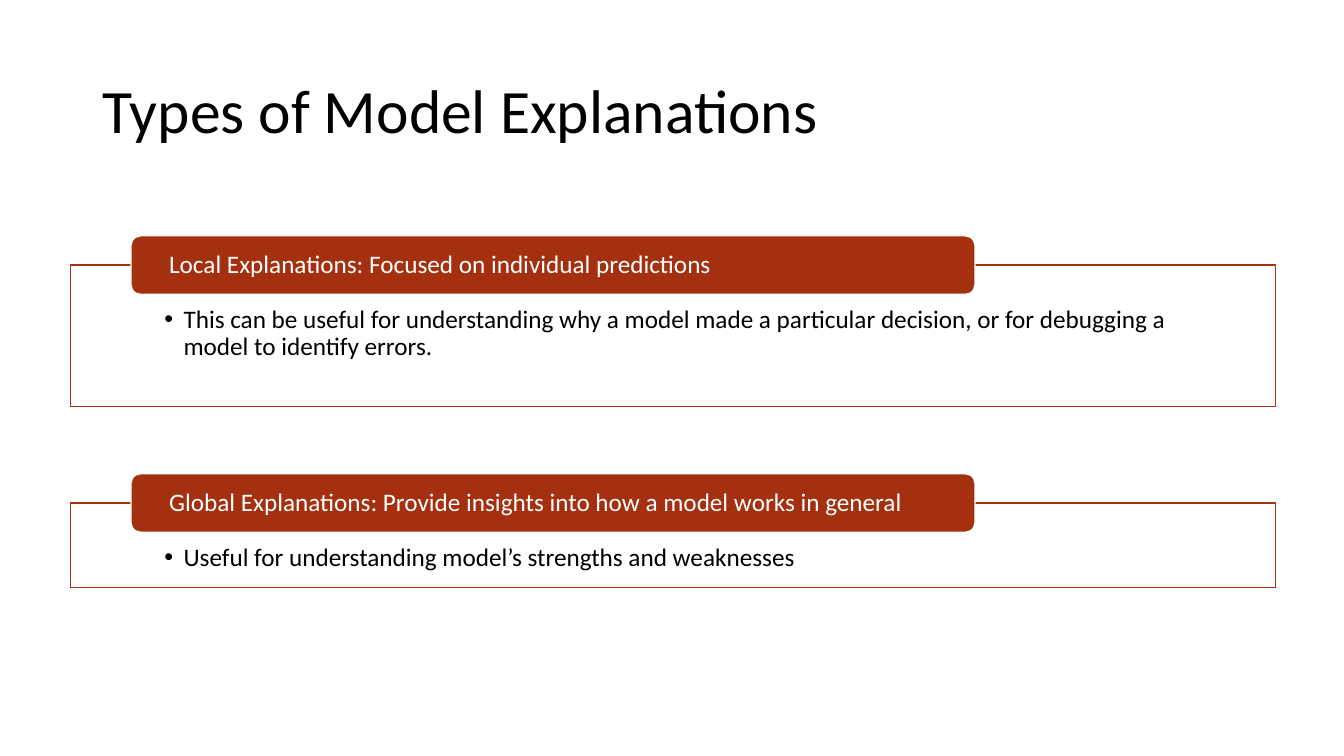
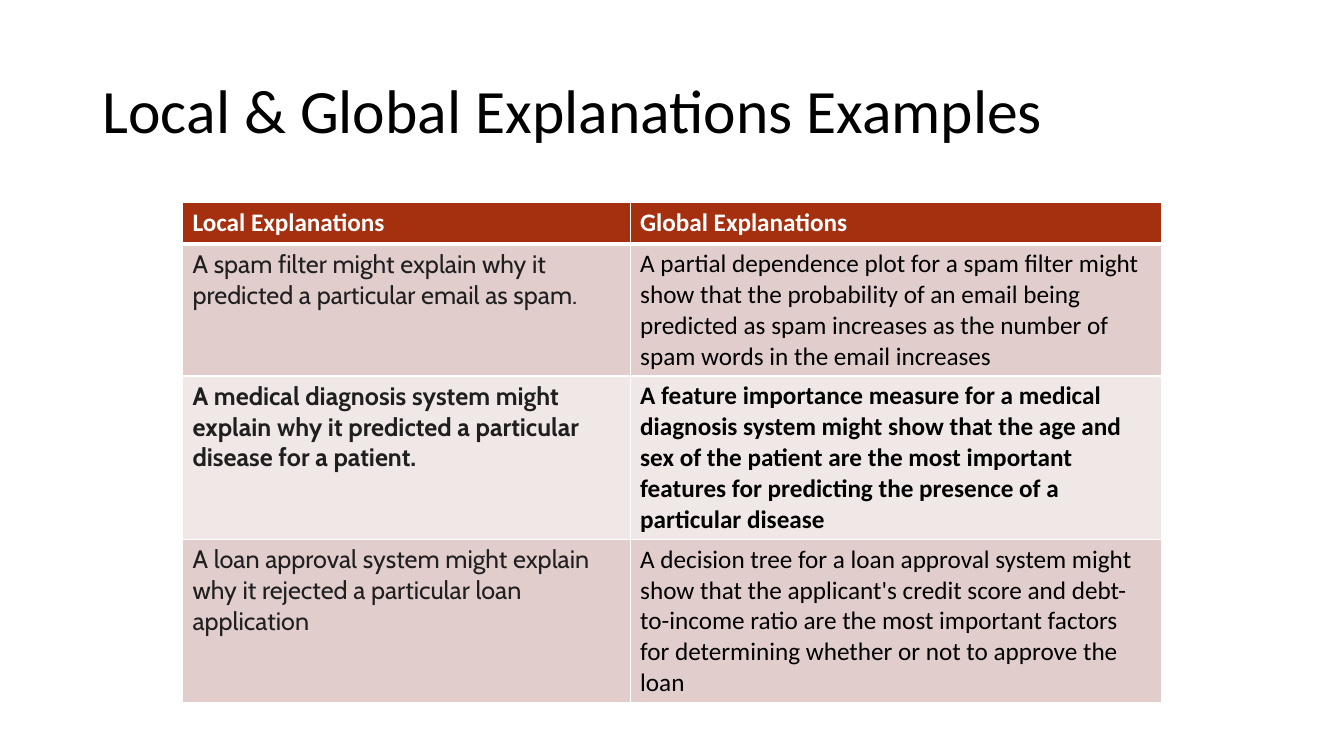
from lxml import etree
from pptx import Presentation
from pptx import util as u
from pptx.dml.color import RGBColor
from pptx.enum import shapes, text
from pptx.oxml.ns import qn

PX = 9144  # EMU per px, 100 px to the inch
ACCENT, WHITE, BLACK, DARK = "A5300F", "FFFFFF", "000000", "1F1F1F"
BANDS = ("E1CDCC", "F0E8E7")
RECT, ROUND = shapes.MSO_SHAPE.RECTANGLE, shapes.MSO_SHAPE.ROUNDED_RECTANGLE
TOP, MIDDLE = text.MSO_ANCHOR.TOP, text.MSO_ANCHOR.MIDDLE


def px(n):
    return u.Emu(n * PX)


def color(value):
    return RGBColor.from_string(value)


def paint(fill, value):
    fill.solid()
    fill.fore_color.rgb = color(value)


def write(tf, content, size=18, font="Calibri", fg=BLACK, bold=False,
          spacing=None, anchor=None, insets=None, bullet=False):
    """Put one formatted paragraph into a text frame."""
    tf.word_wrap = True
    if anchor is not None:
        tf.vertical_anchor = anchor
    if insets:
        tf.margin_left, tf.margin_top, tf.margin_right, tf.margin_bottom = map(px, insets)
    p = tf.paragraphs[0]
    p.alignment = text.PP_ALIGN.LEFT
    if spacing:
        p.line_spacing = spacing
    if bullet:
        pPr = p._p.get_or_add_pPr()
        pPr.set("marL", str(px(19)))
        pPr.set("indent", str(px(-19)))
        etree.SubElement(pPr, qn("a:buFont")).set("typeface", "Arial")
        etree.SubElement(pPr, qn("a:buChar")).set("char", "•")
    r = p.add_run()
    r.text = content
    r.font.size, r.font.name, r.font.bold = u.Pt(size), font, bold
    r.font.color.rgb = color(fg)


def cell_borders(cell, bottom=1):
    """White edges, in the order the schema asks for, ahead of the fill."""
    tcPr = cell._tc.get_or_add_tcPr()
    for i, (side, width) in enumerate(zip("LRTB", (1, 1, 1, bottom))):
        ln = etree.Element(qn(f"a:ln{side}"), w=str(u.Pt(width)))
        fill = etree.SubElement(ln, qn("a:solidFill"))
        etree.SubElement(fill, qn("a:srgbClr")).set("val", WHITE)
        tcPr.insert(i, ln)


class Deck:
    def __init__(self):
        self.prs = Presentation()
        self.prs.slide_width, self.prs.slide_height = px(1333), px(750)

    def slide(self, title):
        self.s = self.prs.slides.add_slide(self.prs.slide_layouts[6])
        paint(self.s.background.fill, WHITE)
        sp = self.s.shapes.add_textbox(*map(px, (92, 40, 1150, 145)))
        write(sp.text_frame, title, size=44, spacing=0.9, anchor=MIDDLE)

    def box(self, kind, at, fill, line, content, **fmt):
        sp = self.s.shapes.add_shape(kind, *map(px, at))
        sp.shadow.inherit = False
        paint(sp.fill, fill)
        sp.line.color.rgb = color(line)
        sp.line.width = u.Pt(0.85)
        write(sp.text_frame, content, spacing=0.9, **fmt)

    def panel(self, top, height, heading, body):
        """Outlined panel with a heading tab straddling its top edge."""
        self.box(RECT, (70, top, 1195, height), WHITE, ACCENT, body,
                 anchor=TOP, insets=(93, 41, 93, 14), bullet=True)
        self.box(ROUND, (130, top - 29, 837, 58), ACCENT, WHITE, heading,
                 fg=WHITE, anchor=MIDDLE, insets=(35, 0, 35, 0))

    def table(self, left, top, widths, heights, rows):
        frame = self.s.shapes.add_table(len(rows), len(widths), px(left), px(top),
                                        px(sum(widths)), px(sum(heights)))
        tbl = frame.table
        for column, width in zip(tbl.columns, widths):
            column.width = px(width)
        for i, (row, height) in enumerate(zip(rows, heights)):
            tbl.rows[i].height = px(height)
            header = i == 0
            for j, content in enumerate(row):
                cell = tbl.cell(i, j)
                paint(cell.fill, ACCENT if header else BANDS[(i - 1) % 2])
                cell_borders(cell, bottom=3 if header else 1)
                if header:
                    fmt = dict(fg=WHITE, bold=True)
                else:
                    # Every second body row is emphasised
                    fmt = dict(bold=i % 2 == 0, fg=BLACK if j else DARK,
                               font="Calibri" if j else "Cabin")
                write(cell.text_frame, content, **fmt)


def main():
    deck = Deck()

    # Types of explanations
    deck.slide("Types of Model Explanations")
    deck.panel(263, 140, "Local Explanations: Focused on individual predictions",
               "This can be useful for understanding why a model made a particular "
               "decision, or for debugging a model to identify errors.")
    deck.panel(499, 84,
               "Global Explanations: Provide insights into how a model works in general",
               "Useful for understanding model’s strengths and weaknesses")

    # Examples side by side
    deck.slide("Local & Global Explanations Examples")
    deck.table(181, 201, (444, 527), (41, 131, 162, 162), [
        ("Local Explanations", "Global Explanations"),
        ("A spam filter might explain why it predicted a particular email as spam.",
         "A partial dependence plot for a spam filter might show that the probability "
         "of an email being predicted as spam increases as the number of spam words "
         "in the email increases"),
        ("A medical diagnosis system might explain why it predicted a particular "
         "disease for a patient.",
         "A feature importance measure for a medical diagnosis system might show that "
         "the age and sex of the patient are the most important features for "
         "predicting the presence of a particular disease"),
        ("A loan approval system might explain why it rejected a particular loan "
         "application",
         "A decision tree for a loan approval system might show that the applicant's "
         "credit score and debt-to-income ratio are the most important factors for "
         "determining whether or not to approve the loan"),
    ])

    deck.prs.save("out.pptx")


if __name__ == "__main__":
    main()
